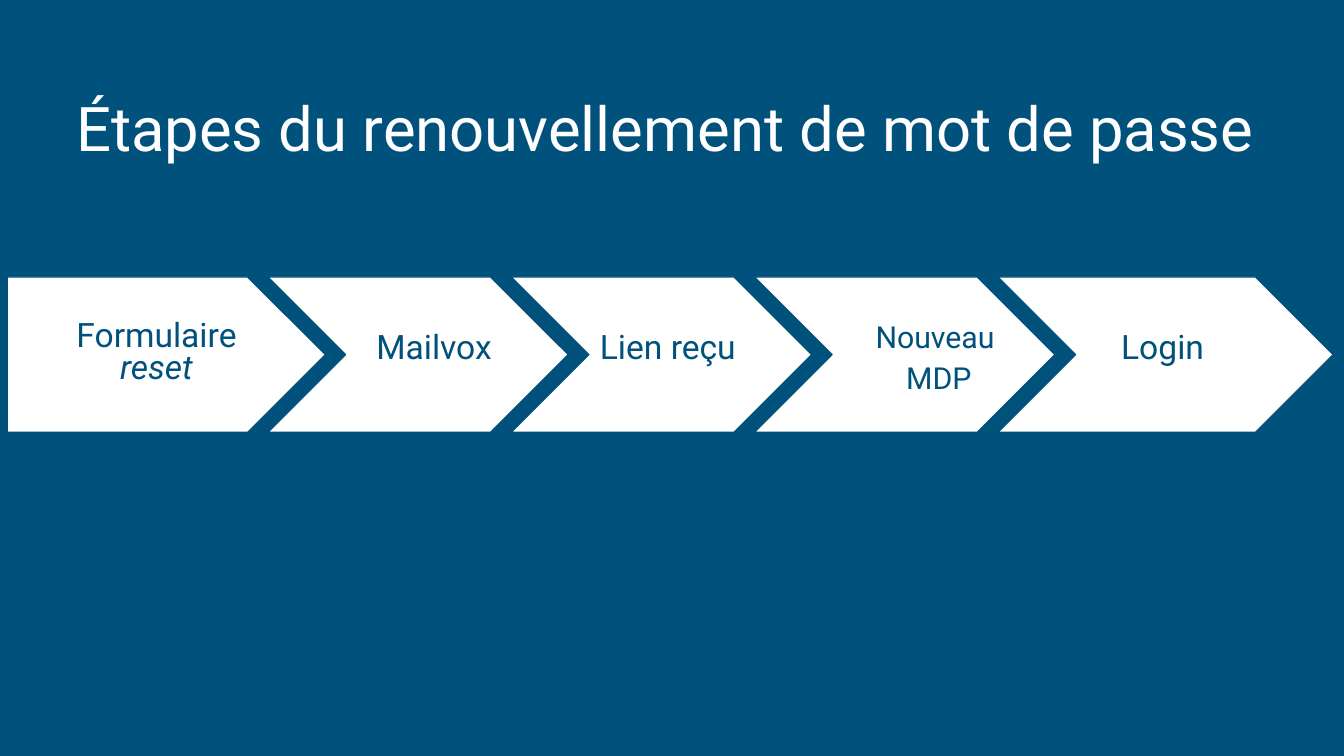
from pptx import Presentation
from pptx.dml.color import RGBColor
from pptx.enum.shapes import MSO_SHAPE
from pptx.enum.text import MSO_ANCHOR, PP_ALIGN
from pptx.util import Pt

COLORS = {"blue": "00517C", "white": "FFFFFF"}


def add_span(para, text, font="Roboto", size=18, color="blue", italic=False):
    """Add text to a paragraph, turning each newline into a line break."""
    for index, line in enumerate(text.split("\n")):
        if index:
            para.add_line_break()
        span = para.add_run()
        span.text = line
        span.font.name = font
        span.font.size = Pt(size)
        span.font.italic = italic
        span.font.color.rgb = RGBColor.from_string(COLORS[color])


class Slide:
    """Hold the style and the current page."""

    def __init__(self, deck):
        self.page = deck.slides.add_slide(deck.slide_layouts[6])
        self.inset = Pt(7.2)
        self.paint(self.page.background.fill, "blue")

    def paint(self, fill, color):
        fill.solid()
        fill.fore_color.rgb = RGBColor.from_string(COLORS[color])

    def arrow(self, kind, left, width, top=148.4, height=83.2):
        arrow = self.page.shapes.add_shape(kind, Pt(left), Pt(top), Pt(width), Pt(height))
        arrow.adjustments[0] = 0.5
        arrow.shadow.inherit = False
        self.paint(arrow.fill, "white")
        self.paint(arrow.line.fill, "blue")
        arrow.line.width = Pt(0.75)

    def text(self, bounds, spans, spacing=1.0, after=0, **style):
        box = self.page.shapes.add_textbox(*map(Pt, bounds))
        frame = box.text_frame
        frame.word_wrap = True
        frame.vertical_anchor = MSO_ANCHOR.MIDDLE
        frame.margin_left = frame.margin_right = self.inset
        frame.margin_top = frame.margin_bottom = self.inset
        para = frame.paragraphs[0]
        para.alignment = PP_ALIGN.CENTER
        para.line_spacing = spacing
        para.space_after = Pt(after)
        for text, italic in spans:
            add_span(para, text, italic=italic, **style)


def main():
    deck = Presentation()
    deck.slide_width, deck.slide_height = Pt(720), Pt(405)
    slide = Slide(deck)
    title = "Étapes du renouvellement de mot de passe"
    slide.text((25.2, 29.5, 662.4, 71.3), [(title, False)],
               spacing=1.15, after=12, size=33, color="white")

    slide.arrow(MSO_SHAPE.PENTAGON, 3.9, 170.4)
    first, step = 143.5, 130.35
    for index, width in enumerate((161, 161, 161, 179.7)):
        slide.arrow(MSO_SHAPE.CHEVRON, first + index * step, width)

    labels = [
        ((26.6, 163.4, 114.5, 52.6), [("Formulaire ", False), ("reset", True)], {"spacing": 0.8}),
        ((180.7, 167, 103.7, 36.7), [("Mailvox", False)], {}),
        ((306, 159.1, 103.7, 52.6), [("Lien reçu", False)], {}),
        ((445.7, 171.4, 114.5, 36.7), [("Nouveau \nMDP", False)], {"spacing": 1.15, "size": 16.2}),
        ((571, 167, 103.7, 36.7), [("Login", False)], {}),
    ]
    for bounds, spans, style in labels:
        slide.text(bounds, spans, **style)
    deck.save("out.pptx")


if __name__ == "__main__":
    main()
